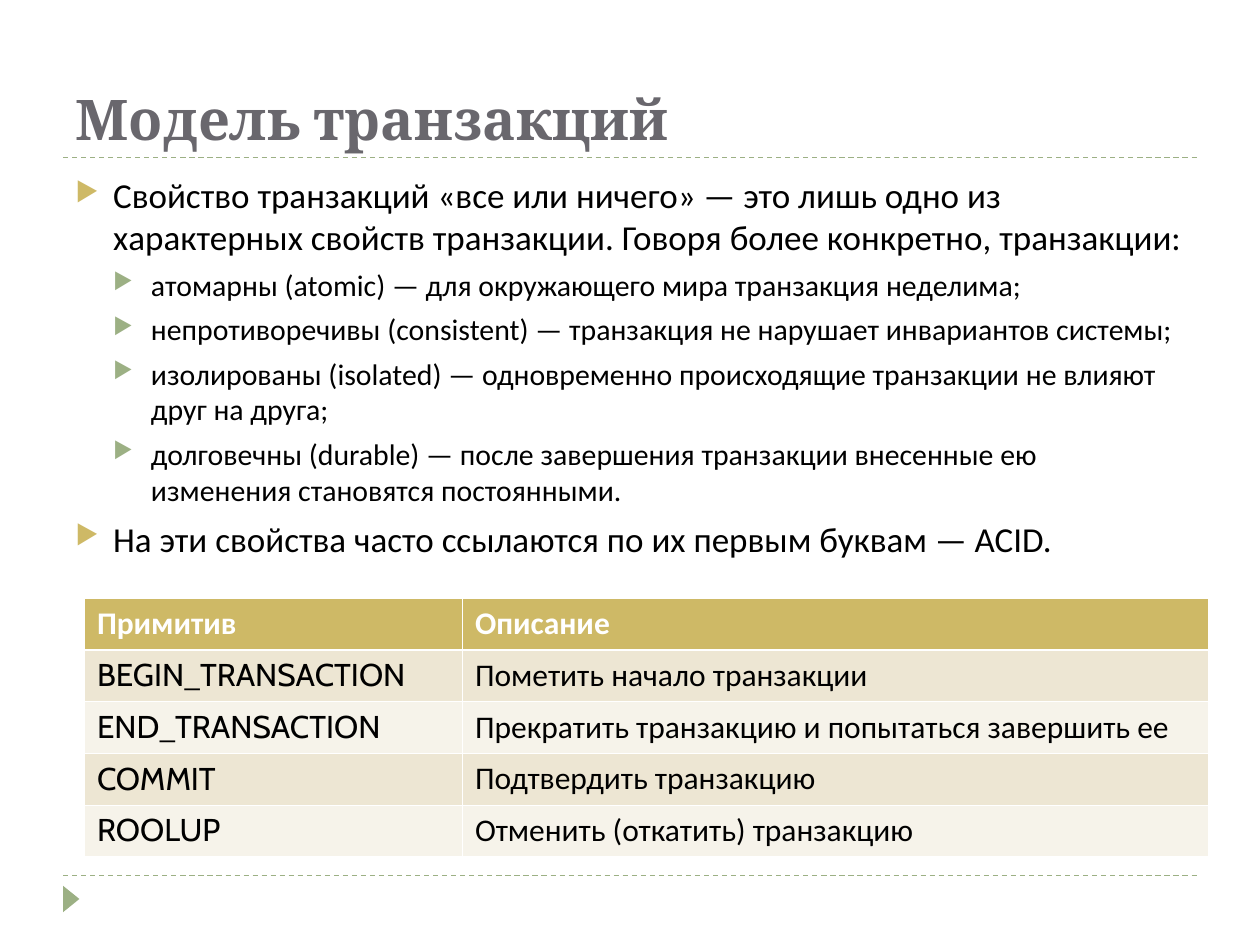
from lxml import etree
from pptx import Presentation
from pptx import util as u
from pptx.dml.color import RGBColor
from pptx.enum import dml, shapes, text
from pptx.oxml.ns import qn

HUES = {
    "gold": "CEB966", "green": "9CB084", "grey": "69676D", "black": "000000",
    "white": "FFFFFF", "sand": "EDE6D3", "cream": "F6F3EA",
}
HEAD, BODY, CODE = "Cambria", "Calibri", "Cabin"

# (level, wording)
POINTS = [
    (0, "Свойство транзакций «все или ничего» — это лишь одно из характерных "
        "свойств транзакции. Говоря более конкретно, транзакции:"),
    (1, "атомарны (atomic) — для окружающего мира транзакция неделима;"),
    (1, "непротиворечивы (consistent) — транзакция не нарушает инвариантов системы;"),
    (1, "изолированы (isolated) — одновременно происходящие транзакции не влияют "
        "друг на друга;"),
    (1, "долговечны (durable) — после завершения транзакции внесенные ею "
        "изменения становятся постоянными."),
    (0, "На эти свойства часто ссылаются по их первым буквам — ACID."),
]
# Per level: text size, space before, bullet colour
LEVELS = [(20, 6, "gold"), (17, 5, "green")]

# Each cell is a list of (wording, font) runs
ROWS = [
    [[("Примитив", BODY)], [("Описание", BODY)]],
    [[("BEGIN", CODE), ("_", BODY), ("TRANSACTION", CODE)],
     [("Пометить начало транзакции", BODY)]],
    [[("END", CODE), ("_", BODY), ("TRANSACTION", CODE)],
     [("Прекратить транзакцию и попытаться завершить ее", BODY)]],
    [[("COMMIT", CODE)], [("Подтвердить транзакцию", BODY)]],
    [[("ROOLUP", CODE)], [("Отменить (откатить) транзакцию", BODY)]],
]


def rgb(hue):
    return RGBColor.from_string(HUES[hue])


def sub(node, tag, **attrs):
    return etree.SubElement(node, qn(tag), attrs)


class Deck:
    def __init__(self, prs):
        self.slide = prs.slides.add_slide(prs.slide_layouts[6])
        self.items = self.slide.shapes

    def run(self, para, words, size, hue="black", font=BODY, bold=False):
        run = para.add_run()
        run.text = words
        run.font.size, run.font.name, run.font.bold = u.Pt(size), font, bold
        run.font.color.rgb = rgb(hue)

    def box(self, x, y, w, h, anchor=text.MSO_ANCHOR.TOP):
        frame = self.items.add_textbox(*map(u.Inches, (x, y, w, h))).text_frame
        frame.word_wrap = True
        frame.vertical_anchor = anchor
        return frame

    def rule(self, y):
        line = self.items.add_connector(
            shapes.MSO_CONNECTOR.STRAIGHT,
            *map(u.Inches, (0.5, y, 9.5, y)))
        line.line.color.rgb = rgb("green")
        line.line.width = u.Pt(0.75)
        line.line.dash_style = dml.MSO_LINE.DASH
        sub(line._element.spPr, "a:effectLst")

    def marker(self, x, y, w, h):
        mark = self.items.add_shape(
            shapes.MSO_SHAPE.ISOSCELES_TRIANGLE, *map(u.Inches, (x, y, w, h)))
        mark.rotation = 90
        mark.shadow.inherit = False
        mark.fill.solid()
        mark.fill.fore_color.rgb = rgb("green")
        mark.line.fill.background()

    def bullets(self, frame, points):
        for i, (level, words) in enumerate(points):
            para = frame.add_paragraph() if i else frame.paragraphs[0]
            size, gap, hue = LEVELS[level]
            para.level = level
            if i:
                para.space_before = u.Pt(gap)
            props = para._p.get_or_add_pPr()
            props.set("marL", str(u.Inches(0.3 * (level + 1))))
            props.set("indent", str(u.Inches(-0.3)))
            sub(sub(props, "a:buClr"), "a:srgbClr", val=HUES[hue])
            sub(props, "a:buSzPct", val="76000")
            sub(props, "a:buChar", char="▶")
            self.run(para, words, size)

    def border(self, cell, sides):
        props = cell._tc.get_or_add_tcPr()
        for i, (side, width) in enumerate(sides.items()):
            edge = etree.Element(qn("a:ln" + side), w=str(u.Pt(width)))
            sub(sub(edge, "a:solidFill"), "a:srgbClr", val=HUES["white"])
            props.insert(i, edge)

    def table(self, x, y, cols, high, rows):
        grid = self.items.add_table(
            len(rows), len(cols), u.Inches(x), u.Inches(y),
            u.Inches(sum(cols)), u.Inches(high * len(rows))).table
        for col, wide in zip(grid.columns, cols):
            col.width = u.Inches(wide)
        for r, row in enumerate(rows):
            top = r == 0
            fill = "gold" if top else "sand" if r % 2 else "cream"
            for c, runs in enumerate(row):
                cell = grid.cell(r, c)
                cell.fill.solid()
                cell.fill.fore_color.rgb = rgb(fill)
                # A heavier line parts the header from the body
                self.border(cell, {"L": 0.45, "R": 0.45,
                                   "T": 1.47 if r == 1 else 0.45,
                                   "B": 1.47 if top else 0.45})
                for words, font in runs:
                    self.run(cell.text_frame.paragraphs[0], words, 18,
                             "white" if top else "black", font, top)


def main():
    prs = Presentation()
    prs.slide_width, prs.slide_height = u.Inches(10), u.Inches(7.5)
    deck = Deck(prs)

    # Frame: dashed rules and corner marker
    for y in (6.95, 1.25):
        deck.rule(y)
    deck.marker(0.46, 7.07, 0.21, 0.13)

    # Title
    title = deck.box(0.5, 0.17, 9, 1.08, text.MSO_ANCHOR.BOTTOM)
    deck.run(title.paragraphs[0], "Модель транзакций", 32, "grey", HEAD, True)

    # Properties of transactions
    deck.bullets(deck.box(0.5, 1.33, 9, 5.4), POINTS)

    # Primitives
    deck.table(0.67, 4.75, (3, 5.92), 0.41, ROWS)

    prs.save("out.pptx")


if __name__ == "__main__":
    main()
